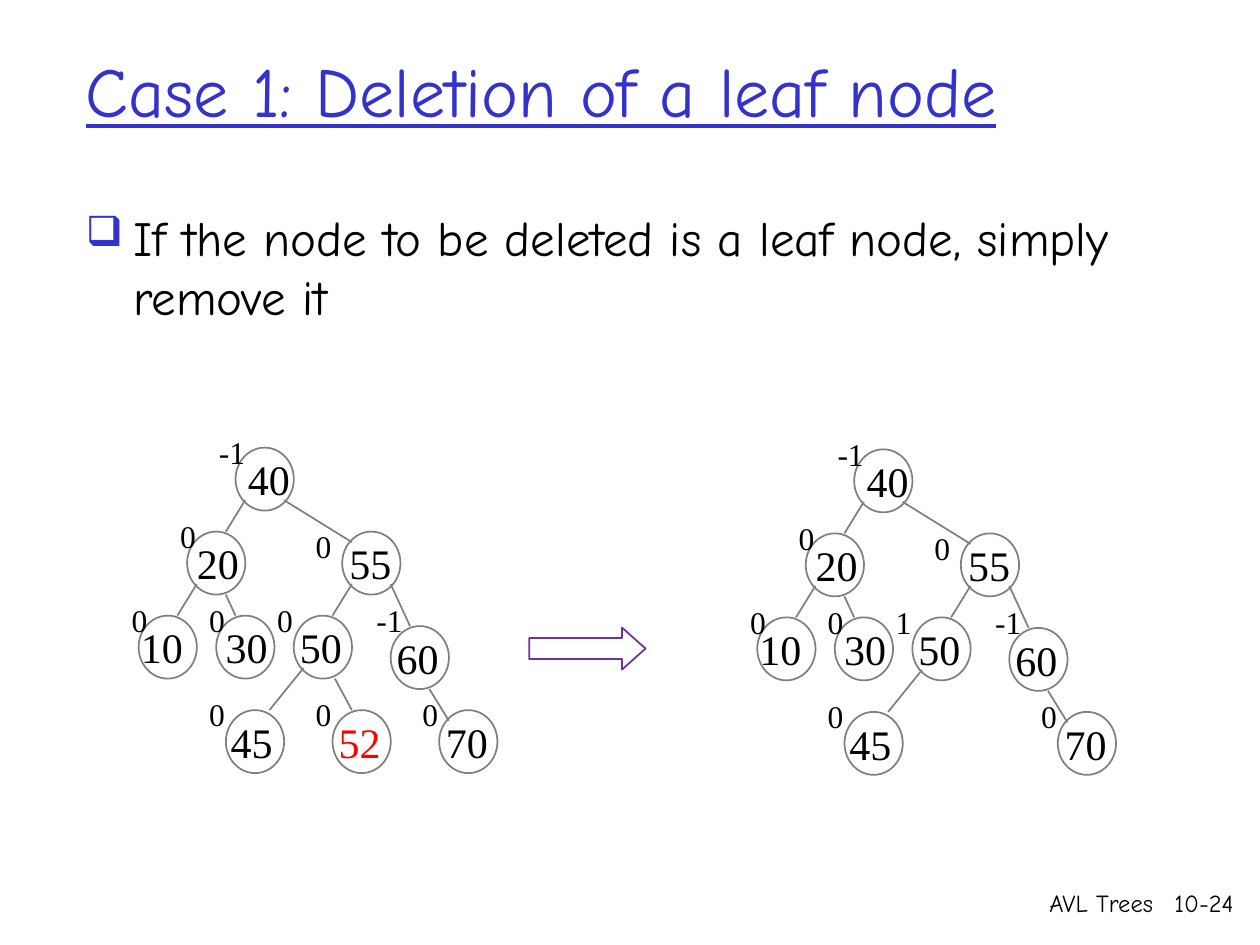
from dataclasses import dataclass

from lxml.etree import SubElement
from pptx import Presentation
from pptx.dml.color import RGBColor
from pptx.enum.shapes import MSO_CONNECTOR, MSO_SHAPE
from pptx.enum.text import MSO_ANCHOR, MSO_AUTO_SIZE, PP_ALIGN
from pptx.oxml.ns import qn
from pptx.util import Pt


@dataclass(frozen=True)
class Theme:
    heading_font: str = "Comic Neue"
    tree_font: str = "Times New Roman"
    blue: str = "3333CC"
    black: str = "000000"
    red: str = "FF0000"
    gray: str = "808080"
    purple: str = "7030A0"
    title_size: int = 40
    body_size: int = 28
    key_size: int = 24
    balance_size: int = 18
    footer_size: int = 14


theme = Theme()


def add_text(shapes, text, left, top, width, height, size, font, color=theme.black):
    box = shapes.add_textbox(Pt(left), Pt(top), Pt(width), Pt(height))
    box.text_frame.word_wrap = True
    box.text_frame.text = text
    run = box.text_frame.paragraphs[0].runs[0]
    run.font.size = Pt(size)
    run.font.name = font
    run.font.color.rgb = RGBColor.from_string(color)
    return box


def add_outline(shapes, preset, left, top, width, height, color):
    shape = shapes.add_shape(preset, Pt(left), Pt(top), Pt(width), Pt(height))
    shape.shadow.inherit = False
    shape.fill.background()
    shape.line.color.rgb = RGBColor.from_string(color)
    shape.line.width = Pt(1)
    return shape


prs = Presentation()
prs.slide_width, prs.slide_height = Pt(720), Pt(540)
slide = prs.slides.add_slide(prs.slide_layouts[6])

# Title
title = add_text(slide.shapes, "Case 1: Deletion of a leaf node", 42, 18, 612, 66,
                 theme.title_size, theme.heading_font, theme.blue)
title.text_frame.vertical_anchor = MSO_ANCHOR.MIDDLE
title.text_frame.paragraphs[0].runs[0].font.underline = True

# Bulleted statement
statement = add_text(slide.shapes,
                     "If the node to be deleted is a leaf node, simply remove it",
                     42, 115, 612, 366, theme.body_size, theme.heading_font)
paragraph = statement.text_frame.paragraphs[0]
paragraph.space_before = Pt(5.6)
properties = paragraph._p.get_or_add_pPr()
properties.set("marL", str(Pt(27)))
properties.set("indent", str(-Pt(27)))
bullet_color = SubElement(properties, qn("a:buClr"))
SubElement(bullet_color, qn("a:srgbClr"), val=theme.blue)
SubElement(properties, qn("a:buSzPct"), val="85000")
SubElement(properties, qn("a:buChar"), char="❑")

# Footer
for text, left, width in (("AVL Trees", 438, 228), ("10-24", 654, 58)):
    footer = add_text(slide.shapes, text, left, 504, width, 36,
                      theme.footer_size, theme.heading_font)
    footer.text_frame.paragraphs[0].alignment = PP_ALIGN.RIGHT

# Trees are laid out on a grid of 5.54 by 6 points
step_x, step_y = 5.54, 6
node_width, node_height = 33.3, 36

# key: (column, row, key shift in points, balance column, balance row)
nodes = {
    "40": (10, 0, 0, 7, -2),
    "20": (5, 8, -1.4, 3, 6),
    "55": (21, 8, -2.9, 17, 7),
    "10": (0, 16, -5.8, -2, 14),
    "30": (8, 16, -1.7, 6, 14),
    "50": (16, 16, -3.6, 13, 14),
    "60": (26, 17, -3.6, 23.25, 14),
    "45": (9, 25, -4.3, 6, 23),
    "52": (20, 25, -3.6, 17, 23),
    "70": (31, 25, -3.2, 28, 23),
}
# child: grid points where the edge from its parent starts and ends
edges = {
    "20": (11, 5, 9, 8),
    "55": (15, 5, 22, 9),
    "10": (6, 13, 4, 16),
    "30": (9, 14, 10, 16),
    "50": (22, 13, 20, 16),
    "60": (26, 13, 28, 17),
    "45": (17, 21, 13.5, 25),
    "52": (20.25, 22, 22, 25),
    "70": (30, 23, 32, 26),
}
before = {"40": -1, "20": 0, "55": 0, "10": 0, "30": 0,
          "50": 0, "60": -1, "45": 0, "52": 0, "70": 0}
after = {key: balance for key, balance in before.items() if key != "52"}
after["50"] = 1

for balances, origin_x, origin_y in ((before, 79.2, 255.8), (after, 432.7, 256.8)):
    tree = slide.shapes.add_group_shape().shapes
    for key, balance in balances.items():
        column, row, key_shift, balance_column, balance_row = nodes[key]
        left, top = origin_x + column * step_x, origin_y + row * step_y

        # Node and its key
        add_outline(tree, MSO_SHAPE.OVAL, left, top, node_width, node_height, theme.gray)
        key_label = add_text(tree, key, left + key_shift, top, 38.9, 36,
                             theme.key_size, theme.tree_font,
                             theme.red if key == "52" else theme.black)

        # Balance factor
        balance_label = add_text(tree, str(balance),
                                 origin_x + balance_column * step_x,
                                 origin_y + balance_row * step_y,
                                 29.4 if balance < 0 else 23.4, 28.8,
                                 theme.balance_size, theme.tree_font)
        balance_label.text_frame.word_wrap = False
        for label in (key_label, balance_label):
            label.text_frame.auto_size = MSO_AUTO_SIZE.SHAPE_TO_FIT_TEXT

        # Edge from the parent
        if key in edges:
            x1, y1, x2, y2 = edges[key]
            edge = tree.add_connector(
                MSO_CONNECTOR.STRAIGHT,
                Pt(origin_x + x1 * step_x), Pt(origin_y + y1 * step_y),
                Pt(origin_x + x2 * step_x), Pt(origin_y + y2 * step_y))
            edge.line.color.rgb = RGBColor.from_string(theme.gray)
            edge.line.width = Pt(1)
            SubElement(edge._element.spPr, qn("a:effectLst"))

# Arrow between the trees
arrow = add_outline(slide.shapes, MSO_SHAPE.RIGHT_ARROW, 302.4, 358.6, 66.5, 24,
                    theme.purple)
arrow.adjustments[0] = 0.5
arrow.adjustments[1] = 0.56

prs.save("out.pptx")
